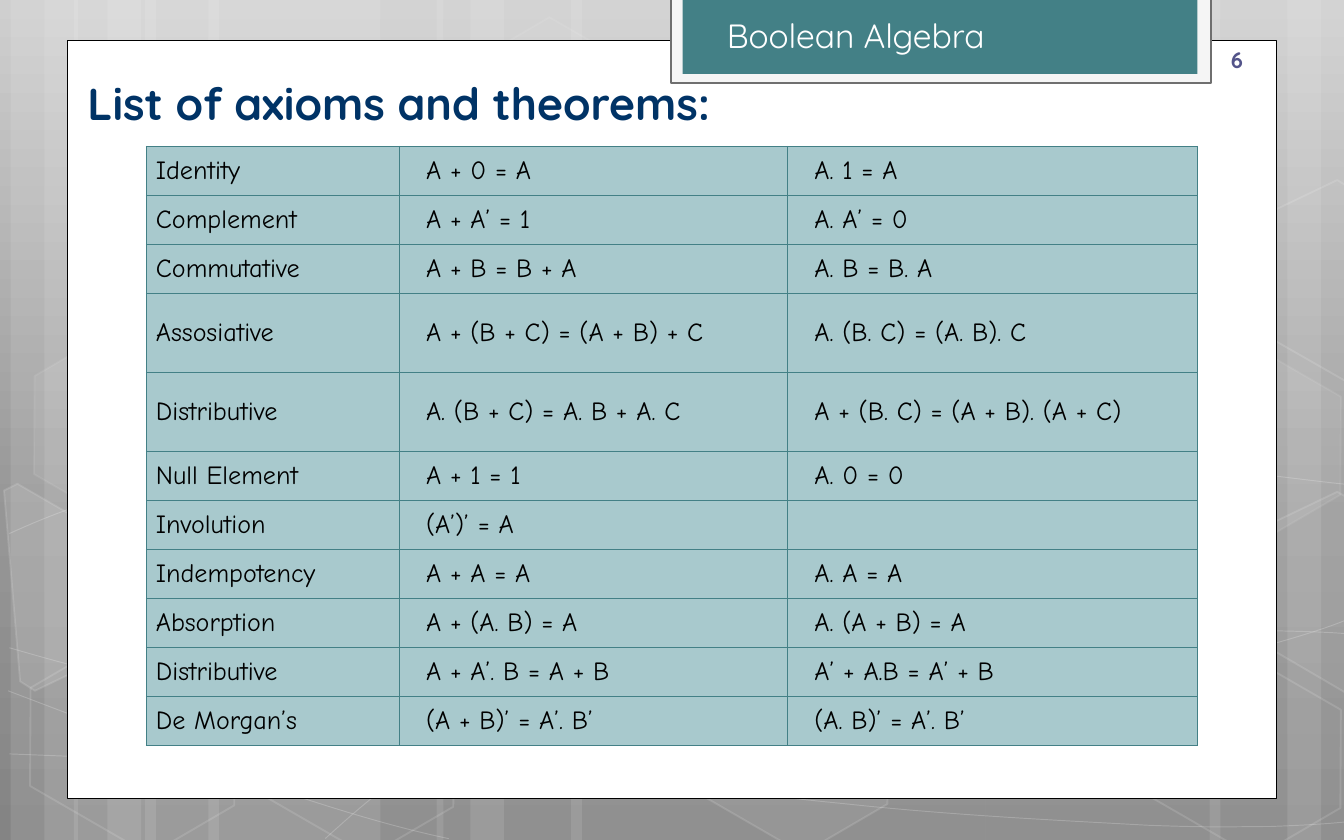
from copy import deepcopy

from lxml import etree
from pptx import Presentation
from pptx.dml.color import RGBColor
from pptx.enum import shapes, text
from pptx.oxml.ns import qn
from pptx.util import Inches, Pt

WHITE = RGBColor(0xFF, 0xFF, 0xFF)
BLACK = RGBColor(0, 0, 0)
TEAL = RGBColor(0x43, 0x80, 0x86)
PALE_TEAL = RGBColor(0xA8, 0xC9, 0xCD)
NAVY = RGBColor(0x00, 0x33, 0x66)
VIOLET = RGBColor(0x53, 0x54, 0x8A)
TAB_FRAME = RGBColor(0xF5, 0xF5, 0xF5)
TAB_LINE = RGBColor(0x6F, 0x6F, 0x6F)
BACKGROUND = [(0, RGBColor(0xCF, 0xCF, 0xCF)), (0.62, RGBColor(0x96, 0x96, 0x96)),
              (1, RGBColor(0x84, 0x84, 0x84))]
HEADING_FONT, TABLE_FONT = "Quicksand", "Comic Neue"

# left, width
STRIPES = [(1.08, 1.75), (0.08, 0.5), (0.33, 0.83), (1.55, 1.75), (0.55, 0.5), (0.8, 0.83),
           (7.33, 1.75), (9.58, 0.5), (9, 0.83), (4.25, 3.08), (3.25, 0.5), (3.5, 0.83)]
# start point, then two control points and an end point for each Bezier segment
CURVES = [
    [(0.07, 5.61), (0.61, 5.63), (1.15, 5.66), (1.9, 5.65), (2.65, 5.64), (3.58, 5.63), (4.58, 5.54),
     (5.58, 5.46), (7, 5.3), (7.92, 5.14), (8.83, 4.98), (9.77, 4.73), (10.07, 4.59)],
    [(0.07, 3.97), (0.36, 3.84), (0.65, 3.72), (1.21, 3.59), (1.78, 3.47), (2.59, 3.29), (3.47, 3.23),
     (4.36, 3.16), (5.44, 3.16), (6.54, 3.23), (7.64, 3.29), (9.47, 3.55), (10.07, 3.61)],
    [(0.06, 5.14), (1.27, 5.6), (2.47, 6.06), (3.34, 6.24)],
    [(0.07, 4.82), (0.38, 4.91), (0.7, 5), (1.28, 5.13), (1.86, 5.26), (2.73, 5.46), (3.57, 5.61),
     (4.4, 5.75), (5.45, 5.9), (6.28, 5.98), (7.11, 6.07), (8, 6.11), (8.53, 6.14),
     (9.05, 6.16), (9.19, 6.15), (9.45, 6.15), (9.71, 6.14), (9.89, 6.13), (10.07, 6.11)],
    [(2.42, 6.24), (2.6, 6.08), (2.78, 5.91), (3.02, 5.76), (3.26, 5.6), (3.6, 5.44), (3.88, 5.32),
     (4.16, 5.21), (4.33, 5.16), (4.7, 5.08), (5.06, 4.99), (5.73, 4.87), (6.08, 4.82),
     (6.44, 4.76), (6.49, 4.76), (6.8, 4.74), (7.11, 4.72), (7.6, 4.7), (7.94, 4.69),
     (8.29, 4.68), (8.86, 4.69), (8.86, 4.69), (9.1, 4.69), (9.8, 4.69), (10.06, 4.72)],
]
# left, top, fill opacity (None for no fill), line opacity
HEXAGONS = [(3.34, 0.3, 4, 8), (4.97, 4.91, 6, 12), (0.11, 4.92, None, 12), (0.14, 2.6, 7, 8),
            (1.74, 4.93, None, 12), (7.53, 3.78, 10, 12), (8.34, 4.94, None, 12), (8.34, 2.61, 7, 8)]
# outline, fill opacity
CUT_HEXAGONS = [
    ([(0.03, 3.65), (0.13, 3.6), (0.89, 4.04), (0.95, 4.81), (0.26, 5.14), (0.15, 5.07)], 10),
    ([(9.26, 3.99), (9.95, 3.66), (10.02, 3.7), (10.15, 5.17), (10.09, 5.2), (9.32, 4.75)], 4),
    ([(9.26, 1.67), (9.95, 1.34), (10.03, 1.39), (10.15, 2.85), (10.09, 2.88), (9.32, 2.44)], None),
]
AXIOMS = [
    ("Identity", "A + 0 = A", "A. 1 = A"),
    ("Complement", "A + A’ = 1", "A. A’ = 0"),
    ("Commutative", "A + B = B + A", "A. B = B. A"),
    ("Assosiative", "A + (B + C) = (A + B) + C", "A. (B. C) = (A. B). C"),
    ("Distributive", "A. (B + C) = A. B + A. C", "A + (B. C) = (A + B). (A + C)"),
    ("Null Element", "A + 1 = 1", "A. 0 = 0"),
    ("Involution", "(A’)’ = A", ""),
    ("Indempotency", "A + A = A", "A. A = A"),
    ("Absorption", "A + (A. B) = A", "A. (A + B) = A"),
    ("Distributive", "A + A’. B = A + B", "A’ + A.B = A’ + B"),
    ("De Morgan’s", "(A + B)’ = A’. B’", "(A. B)’ = A’. B’"),
]
TALL_ROWS, TALL = (3, 4), 0.59


def paint(sp, fill=None, line=None, width=0.5, fill_alpha=None, line_alpha=None):
    """Set fill and line; opacities are in percent."""
    sp.shadow.inherit = False
    for fmt, color, alpha in ((sp.fill, fill, fill_alpha), (sp.line.fill, line, line_alpha)):
        if color is None:
            fmt.background()
            continue
        fmt.solid()
        fmt.fore_color.rgb = color
        if alpha is not None:
            parent = sp._element.spPr if fmt is sp.fill else sp.line._ln
            clr = parent.find(qn("a:solidFill")).find(qn("a:srgbClr"))
            etree.SubElement(clr, qn("a:alpha"), val=str(alpha * 1000))
    if line is not None:
        sp.line.width = Pt(width)


def add_box(slide, box, kind=shapes.MSO_SHAPE.RECTANGLE, **style):
    sp = slide.shapes.add_shape(kind, *map(Inches, box))
    paint(sp, **style)
    return sp


def add_outline(slide, points, close, **style):
    pts = [(Inches(x), Inches(y)) for x, y in points]
    builder = slide.shapes.build_freeform(*pts[0])
    builder.add_line_segments(pts[1:], close=close)
    sp = builder.convert_to_shape()
    paint(sp, **style)
    return sp


def bend(sp):
    """Turn each three line segments of an outline into one Bezier segment."""
    lines = list(sp._element.iter(qn("a:lnTo")))
    for i in range(0, len(lines), 3):
        curve = etree.Element(qn("a:cubicBezTo"))
        lines[i].addprevious(curve)
        for line in lines[i:i + 3]:
            curve.append(line[0])
            line.getparent().remove(line)


def set_text(sp, box, content, size, color, bold=False, anchor=text.MSO_ANCHOR.TOP):
    sp.left, sp.top, sp.width, sp.height = map(Inches, box)
    tf = sp.text_frame
    tf.text = content
    tf.word_wrap = True
    tf.auto_size = text.MSO_AUTO_SIZE.NONE
    tf.vertical_anchor = anchor
    p = tf.paragraphs[0]
    p.alignment = text.PP_ALIGN.LEFT
    p.font.name, p.font.size, p.font.bold = HEADING_FONT, Pt(size), bold
    p.font.color.rgb = color


def add_text(slide, box, *args, **style):
    set_text(slide.shapes.add_textbox(0, 0, 0, 0), box, *args, **style)


def set_background(master):
    fill = master.background.fill
    fill.gradient()
    fill.gradient_angle = 270
    stops = master.element.find(".//" + qn("a:gsLst"))
    stops.append(deepcopy(stops[0]))
    for stop, (position, color) in zip(fill.gradient_stops, BACKGROUND):
        stop.position = position
        stop.color.rgb = color


def add_backdrop(slide, height):
    for left, width in STRIPES:
        add_box(slide, (left, 0, width, height), fill=WHITE, fill_alpha=10)
    for curve in CURVES:
        bend(add_outline(slide, curve, False, line=WHITE, line_alpha=20))
    for left, top, opacity, line_opacity in HEXAGONS:
        sp = add_box(slide, (left, top, 1.75, 1.27), shapes.MSO_SHAPE.HEXAGON,
                     fill=WHITE if opacity else None, fill_alpha=opacity,
                     line=WHITE, line_alpha=line_opacity, width=1)
        sp.adjustments[0] = 0.285
        sp.rotation = 30
    for points, opacity in CUT_HEXAGONS:
        add_outline(slide, points, True, fill=WHITE if opacity else None, fill_alpha=opacity,
                    line=WHITE, line_alpha=12, width=1)


def add_tab_frame(slide, box):
    left, top, width, height = box
    add_box(slide, box, fill=TAB_FRAME, line=TAB_LINE, width=1.25)
    add_box(slide, (left + 0.09, top, width - 0.19, height - 0.07), fill=TEAL)


def move_to_master(slide, master):
    drawn = [sp for sp in slide.shapes if not sp.is_placeholder]
    for number, sp in enumerate(drawn, 100):
        sp._element.nvSpPr.cNvPr.set("id", str(number))
        master.shapes._spTree.append(sp._element)


def add_border(cell):
    pr = cell._tc.get_or_add_tcPr()
    for i, side in enumerate(("a:lnL", "a:lnR", "a:lnT", "a:lnB")):
        ln = etree.Element(qn(side), w=str(Pt(0.75)))
        solid = etree.SubElement(ln, qn("a:solidFill"))
        etree.SubElement(solid, qn("a:srgbClr"), val=str(TEAL))
        pr.insert(i, ln)


def add_axiom_table(slide, box):
    table = slide.shapes.add_table(len(AXIOMS), 3, *map(Inches, box)).table
    table.first_row = table.horz_banding = False
    short = (box[3] - TALL * len(TALL_ROWS)) / (len(AXIOMS) - len(TALL_ROWS))
    for column, width in zip(table.columns, (1.88, 2.89, 3.05)):
        column.width = Inches(width)
    for r, row in enumerate(AXIOMS):
        table.rows[r].height = Inches(TALL if r in TALL_ROWS else short)
        for c, content in enumerate(row):
            cell = table.cell(r, c)
            cell.text = content
            cell.fill.solid()
            cell.fill.fore_color.rgb = PALE_TEAL
            cell.vertical_anchor = text.MSO_ANCHOR.MIDDLE
            cell.margin_right = cell.margin_top = cell.margin_bottom = Inches(0.06)
            cell.margin_left = Inches(0.2 if c else 0.07)
            font = cell.text_frame.paragraphs[0].font
            font.name, font.size = TABLE_FONT, Pt(14)
            font.color.rgb = BLACK
            add_border(cell)


def main():
    prs = Presentation()
    prs.slide_width, prs.slide_height = Inches(10), Inches(6.25)
    slide = prs.slides.add_slide(prs.slide_layouts[5])
    set_background(prs.slide_master)
    add_backdrop(slide, 6.25)
    add_box(slide, (0.5, 0.3, 9, 5.64), fill=WHITE, line=BLACK)
    add_tab_frame(slide, (4.99, -0.02, 4.02, 0.64))
    move_to_master(slide, prs.slide_master)

    add_text(slide, (9.06, 0.32, 0.8, 0.25), "6", 12, VIOLET, bold=True,
             anchor=text.MSO_ANCHOR.MIDDLE)
    add_text(slide, (5.31, 0.06, 2.58, 0.4), "Boolean Algebra", 18, WHITE)
    add_axiom_table(slide, (1.09, 1.09, 7.82, 4.46))
    title = slide.shapes.title
    set_text(title, (0.55, 0.51, 6.44, 0.5), "List of axioms and theorems:", 24, NAVY, bold=True)
    slide.shapes._spTree.append(title._element)
    prs.save("out.pptx")


if __name__ == "__main__":
    main()
